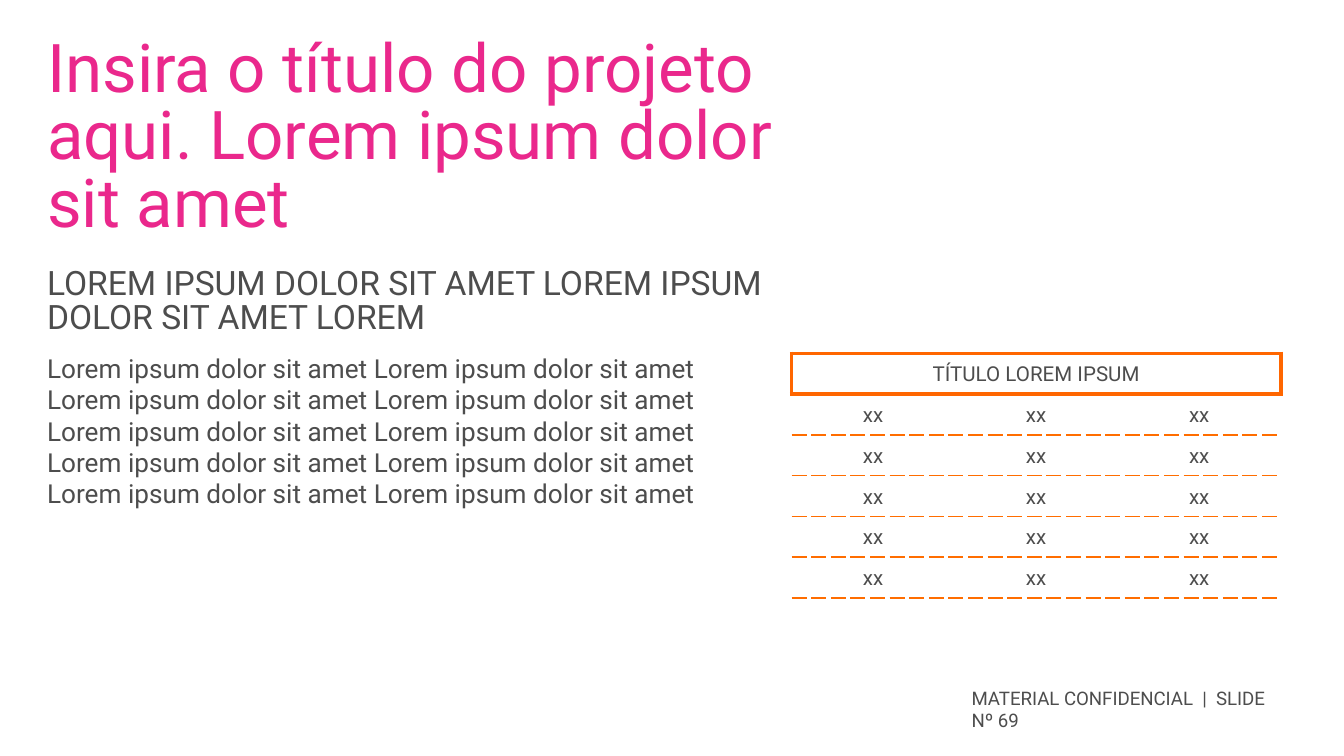
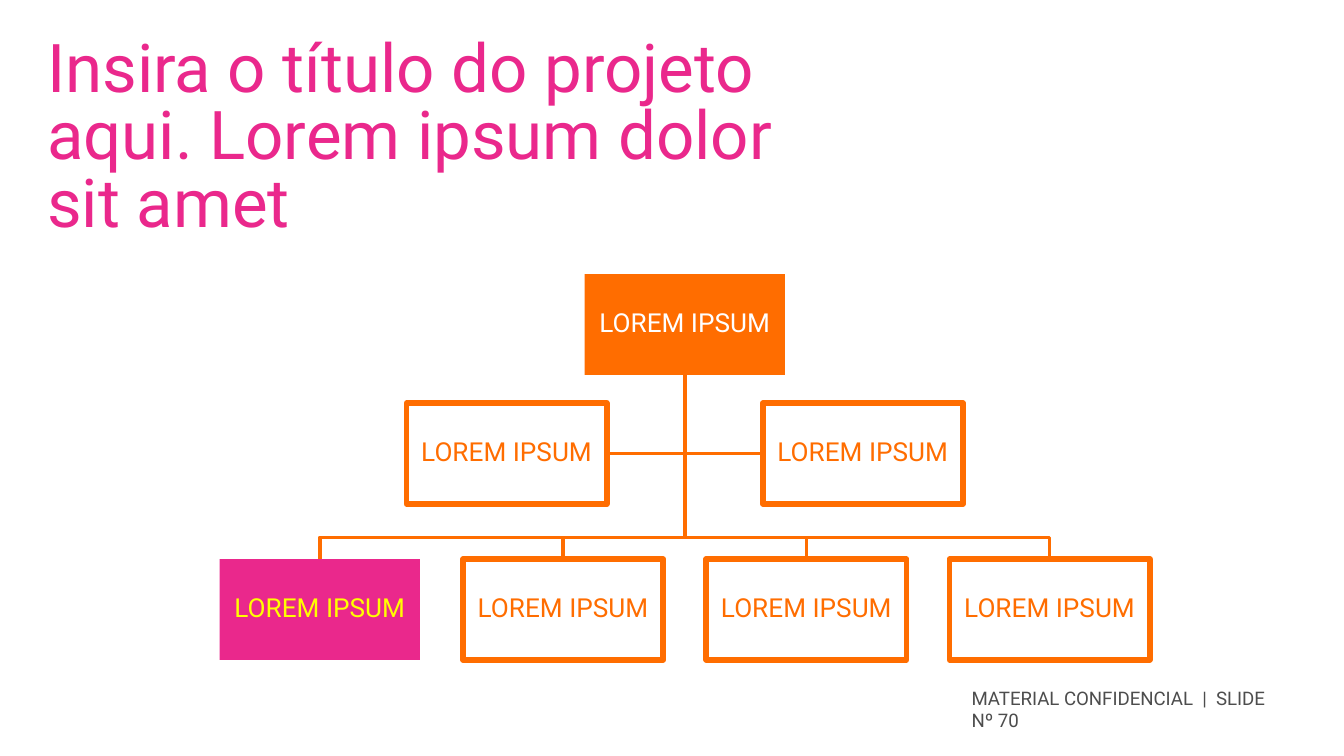
from dataclasses import dataclass

from lxml.etree import SubElement
from pptx import Presentation
from pptx.dml.color import RGBColor
from pptx.enum.shapes import MSO_SHAPE as Shape
from pptx.enum.text import MSO_ANCHOR as Anchor, MSO_AUTO_SIZE as AutoSize, PP_ALIGN as Align
from pptx.oxml.ns import qn
from pptx.util import Inches, Pt

# Content
TITLE = "Insira o título do projeto aqui. Lorem ipsum dolor sit amet"
SUBTITLE = "LOREM IPSUM DOLOR SIT AMET LOREM IPSUM DOLOR SIT AMET LOREM"
BODY = " ".join(["Lorem ipsum dolor sit amet"] * 10)
FOOTER = "MATERIAL CONFIDENCIAL  |  SLIDE Nº {}"
TABLE_HEADER = "TÍTULO LOREM IPSUM"
TABLE_ROWS = [("xx", "xx", "xx")] * 5

ROOT = ("LOREM IPSUM", "solid")
ASSISTANTS = [("LOREM IPSUM", "outline"), ("LOREM IPSUM", "outline")]
REPORTS = [
    ("LOREM IPSUM", "accent"),
    ("LOREM IPSUM", "outline"),
    ("LOREM IPSUM", "outline"),
    ("LOREM IPSUM", "outline"),
]


@dataclass(frozen=True)
class Theme:
    font: str = "Roboto"
    text: str = "4D4D4D"
    pink: str = "EA288C"
    orange: str = "FF6D00"
    header_border: str = "FF6600"
    white: str = "FFFFFF"
    yellow: str = "FFFF00"
    title_size: int = 36
    subtitle_size: int = 18
    body_size: int = 14
    table_size: int = 11
    footer_size: int = 10
    leading: int = 14


THEME = Theme()
# Fill and text colour of each kind of chart box; no fill means an orange outline
BOX_STYLES = {
    "solid": (THEME.orange, THEME.white),
    "accent": (THEME.pink, THEME.yellow),
    "outline": (None, THEME.orange),
}

# Layout, in inches
WIDTH = 10
HEIGHT = WIDTH * 9 / 16
LEFT = 0.35
TITLE_AT = (LEFT, 0.29, 5.64, 1.44)
SUBTITLE_AT = (LEFT, 2, 5.64, 0.53)
BODY_AT = (LEFT, 2.62, 5.15, 1.66)
FOOTER_AT = (7.23, 5.11, 2.33, 0.3)
TABLE_AT = (5.89, 2.63, 3.64, 1.82)

BOX_WIDTH, BOX_HEIGHT = 1.49, 0.75
CHART_CENTER = 4.35 + BOX_WIDTH / 2
ROOT_TOP, ASSISTANT_TOP, REPORT_TOP = 2.04, 3, 4.16
BRANCH_TOP = 4
ASSISTANT_PITCH, REPORT_PITCH = 2.65, 1.81

NO_TABLE_STYLE = "{2D5ABB26-0587-4C30-8999-92F81FD0307C}"


def rgb(color):
    return RGBColor.from_string(color)


def place(shape, at):
    shape.left, shape.top, shape.width, shape.height = map(Inches, at)


def write(frame, text, size, color=THEME.text, leading=None, align=Align.LEFT):
    frame.text = text
    para = frame.paragraphs[0]
    para.alignment = align
    para.space_before = Pt(0)
    if leading:
        para.line_spacing = Pt(leading)
    font = para.runs[0].font
    font.name, font.size = THEME.font, Pt(size)
    font.color.rgb = rgb(color)


def set_frame(frame, anchor=Anchor.TOP, inset=0):
    frame.word_wrap = True
    frame.auto_size = AutoSize.NONE
    frame.vertical_anchor = anchor
    frame.margin_left = frame.margin_right = Inches(inset)
    frame.margin_top = frame.margin_bottom = Inches(inset)


def fill_text(shape, at, *style):
    """Place a text shape, drop its bullet and write its text."""
    place(shape, at)
    set_frame(shape.text_frame)
    write(shape.text_frame, *style)
    properties = shape.text_frame.paragraphs[0]._p.get_or_add_pPr()
    properties.set("marL", "0")
    properties.set("indent", "0")
    SubElement(properties, qn("a:buNone"))


def add_page(deck, layout, number):
    page = deck.slides.add_slide(deck.slide_layouts.get_by_name(layout))
    fill_text(page.shapes.title, TITLE_AT, TITLE, THEME.title_size, THEME.pink, THEME.title_size)
    footer = page.shapes.add_textbox(*map(Inches, FOOTER_AT))
    fill_text(footer, FOOTER_AT, FOOTER.format(number), THEME.footer_size)
    return page


def set_borders(cell, sides, color, points, dash):
    for side in sides:
        line = SubElement(cell._tc.get_or_add_tcPr(), qn(f"a:ln{side}"), w=str(Pt(points)))
        SubElement(SubElement(line, qn("a:solidFill")), qn("a:srgbClr"), val=color)
        SubElement(line, qn("a:prstDash"), val=dash)


def format_cell(cell, text=""):
    cell.vertical_anchor = Anchor.MIDDLE
    cell.margin_top = cell.margin_bottom = Inches(0.04)
    cell.fill.background()
    if text:
        write(cell.text_frame, text, THEME.table_size, leading=THEME.leading, align=Align.CENTER)


def add_data_table(page):
    rows, columns = len(TABLE_ROWS) + 1, len(TABLE_ROWS[0])
    table = page.shapes.add_table(rows, columns, *map(Inches, TABLE_AT)).table
    table.first_row = table.horz_banding = False
    table._tbl.tblPr.find(qn("a:tableStyleId")).text = NO_TABLE_STYLE

    header = table.cell(0, 0)
    header.merge(table.cell(0, columns - 1))
    for column in range(columns):
        cell = table.cell(0, column)
        set_borders(cell, "LRTB", THEME.header_border, 2.25, "solid")
        format_cell(cell, "" if column else TABLE_HEADER)

    for row, values in enumerate(TABLE_ROWS, start=1):
        for column, value in enumerate(values):
            cell = table.cell(row, column)
            if row == 1:
                set_borders(cell, "T", THEME.header_border, 2.25, "solid")
            else:
                set_borders(cell, "T", THEME.orange, 1, "dash")
            set_borders(cell, "B", THEME.orange, 1, "dash")
            format_cell(cell, value)


def spread(count, pitch):
    """Centres of equally spaced boxes around the chart's axis."""
    return [CHART_CENTER + (i - (count - 1) / 2) * pitch for i in range(count)]


def add_branch(chart, *points):
    start, *rest = [(Inches(x), Inches(y)) for x, y in points]
    builder = chart.shapes.build_freeform(*start)
    branch = builder.add_line_segments(rest, close=False).convert_to_shape()
    branch.shadow.inherit = False
    branch.fill.background()
    branch.line.color.rgb = rgb(THEME.orange)
    branch.line.width = Pt(2)


def add_box(chart, center, top, label, style):
    at = (center - BOX_WIDTH / 2, top, BOX_WIDTH, BOX_HEIGHT)
    box = chart.shapes.add_shape(Shape.RECTANGLE, *map(Inches, at))
    box.shadow.inherit = False
    fill, color = BOX_STYLES[style]
    if fill:
        box.fill.solid()
        box.fill.fore_color.rgb = rgb(fill)
        box.line.fill.background()
    else:
        box.fill.background()
        box.line.color.rgb = rgb(THEME.orange)
        box.line.width = Pt(3)
    set_frame(box.text_frame, Anchor.MIDDLE, 0.01)
    write(box.text_frame, label, THEME.body_size, color, THEME.leading, Align.CENTER)


def add_organogram(page):
    chart = page.shapes.add_group_shape()
    trunk = (CHART_CENTER, ROOT_TOP + BOX_HEIGHT)
    assistant_centers = spread(len(ASSISTANTS), ASSISTANT_PITCH)
    report_centers = spread(len(REPORTS), REPORT_PITCH)

    middle = ASSISTANT_TOP + BOX_HEIGHT / 2
    for center in assistant_centers:
        inner_side = BOX_WIDTH / 2 if center < CHART_CENTER else -BOX_WIDTH / 2
        add_branch(chart, trunk, (CHART_CENTER, middle), (center + inner_side, middle))
    for center in report_centers:
        add_branch(chart, trunk, (CHART_CENTER, BRANCH_TOP),
                   (center, BRANCH_TOP), (center, REPORT_TOP))

    levels = [
        (ROOT_TOP, [CHART_CENTER], [ROOT]),
        (REPORT_TOP, report_centers, REPORTS),
        (ASSISTANT_TOP, assistant_centers, ASSISTANTS),
    ]
    for top, centers, boxes in levels:
        for center, (label, style) in zip(centers, boxes):
            add_box(chart, center, top, label, style)


def main():
    deck = Presentation()
    deck.slide_width, deck.slide_height = Inches(WIDTH), Inches(HEIGHT)

    table_page = add_page(deck, "Two Content", 69)
    add_data_table(table_page)
    _, body, subtitle = table_page.placeholders
    fill_text(body, BODY_AT, BODY, THEME.body_size)
    fill_text(subtitle, SUBTITLE_AT, SUBTITLE, THEME.subtitle_size,
              THEME.text, THEME.subtitle_size)

    add_organogram(add_page(deck, "Title Only", 70))
    deck.save("out.pptx")


if __name__ == "__main__":
    main()
